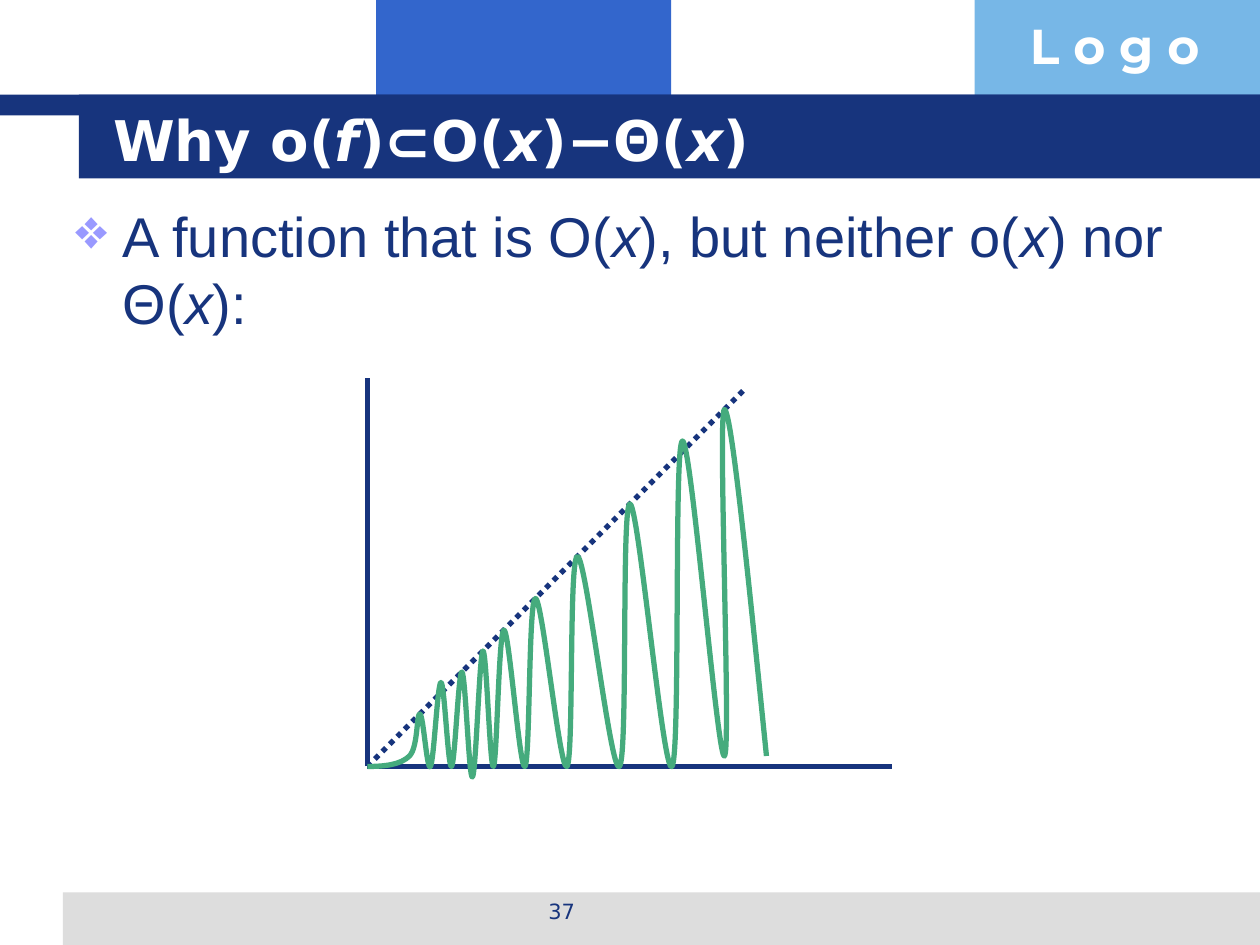
from lxml import etree
from pptx import Presentation
from pptx.dml.color import RGBColor
from pptx.enum.dml import MSO_LINE_DASH_STYLE as Dash
from pptx.enum.shapes import MSO_CONNECTOR as Connector, MSO_SHAPE as Shape
from pptx.enum.text import MSO_ANCHOR as Anchor, PP_ALIGN as Align
from pptx.oxml.ns import qn
from pptx.util import Pt

COLORS = {"navy": "17347D", "blue": "3366CC", "sky": "77B7E7", "gray": "DDDDDD",
          "white": "FFFFFF", "lilac": "9999FF", "green": "45AB7D"}
STYLES = {
    "logo": {"name": "Montserrat", "size": Pt(28), "bold": True, "color": "white"},
    "title": {"name": "DejaVu Sans", "size": Pt(32), "bold": True, "color": "white"},
    "body": {"name": "Arial", "size": Pt(32), "color": "navy"},
    "number": {"name": "DejaVu Sans", "size": Pt(12), "color": "navy"},
}
UNIT = 6  # plot grid step, in points
# Turning points of the curve, in grid steps right of and above the origin
WAVE = [(0, 0), (4, 1), (5, 5), (6, 0), (7, 8), (8, 0), (9, 9), (10, -1),
        (11, 11), (12, 0), (13, 13), (15, 0), (16, 16), (19, 0), (20, 20),
        (24, 0), (25, 25), (29, 0), (30, 31), (34, 1), (34, 34), (38, 1)]
START_HANDLE, END_HANDLE = (1.6, 0), (1.67, -16.5)


def rgb(name):
    return RGBColor.from_string(COLORS[name])


def add_bar(page, box, color):
    bar = page.shapes.add_shape(Shape.RECTANGLE, *map(Pt, box))
    bar.shadow.inherit = False
    bar.fill.solid()
    bar.fill.fore_color.rgb = rgb(color)
    bar.line.fill.background()


def add_text(page, box, text, style, anchor=Anchor.TOP, align=Align.LEFT):
    """Place one paragraph; pieces between asterisks are italic."""
    frame = page.shapes.add_textbox(*map(Pt, box)).text_frame
    frame.word_wrap = True
    frame.vertical_anchor = anchor
    para = frame.paragraphs[0]
    para.alignment = align
    for index, piece in enumerate(text.split("*")):
        span = para.add_run()
        span.text = piece
        for key, value in STYLES[style].items():
            if key == "color":
                span.font.color.rgb = rgb(value)
            else:
                setattr(span.font, key, value)
        span.font.italic = index % 2 == 1
    return para


def add_bullet(para, char, color, indent):
    props = para._p.get_or_add_pPr()
    props.set("marL", str(Pt(indent)))
    props.set("indent", str(-Pt(indent)))
    bullet_color = etree.SubElement(props, qn("a:buClr"))
    etree.SubElement(bullet_color, qn("a:srgbClr"), val=COLORS[color])
    etree.SubElement(props, qn("a:buChar"), char=char)


def add_header(page, left, top, width):
    # Color blocks and logo
    add_bar(page, (left + 215, top, 168.5, 66), "blue")
    add_bar(page, (left + 557, top, width - 557, 66), "sky")
    add_text(page, (left + 581.5, top + 5.5, 138.5, 41), "L o g o", "logo")
    # Title band
    add_bar(page, (left, top + 54, width, 12), "navy")
    add_bar(page, (left + 45, top + 54, width - 45, 48), "navy")
    add_text(page, (left + 57.5, top + 57.5, 614, 44.5),
             "Why o(*f*)⊂O(*x*)−Θ(*x*)", "title", Anchor.MIDDLE)


def add_body(page, left, top, width, height):
    para = add_text(page, (left, top, width, height),
                    "A function that is O(*x*), but neither o(*x*) nor Θ(*x*):", "body")
    add_bullet(para, "❖", "lilac", 27)


def add_footer(page, left, top, width, height):
    add_bar(page, (left, top, width, height), "gray")
    add_text(page, (left + 201, top, 168, 25), "37", "number", align=Align.CENTER)


def bezier_points(knots):
    """Control points of a Catmull-Rom curve through the knots."""
    handles = [START_HANDLE]
    for (x0, y0), (x1, y1) in zip(knots, knots[2:]):
        handles.append(((x1 - x0) / 6, (y1 - y0) / 6))
    handles.append(END_HANDLE)
    points = []
    for i in range(len(knots) - 1):
        (x0, y0), (x1, y1) = knots[i:i + 2]
        (dx0, dy0), (dx1, dy1) = handles[i:i + 2]
        points += [(x0 + dx0, y0 + dy0), (x1 - dx1, y1 - dy1), (x1, y1)]
    return points


def add_plot(page, left, bottom):
    def place(x, y):
        return Pt(left + x * UNIT), Pt(bottom - y * UNIT)

    # Axes and dotted bound
    for end, dash in (((50, 0), None), ((0, 37), None), ((36, 36), Dash.ROUND_DOT)):
        line = page.shapes.add_connector(Connector.STRAIGHT, *place(0, 0), *place(*end))
        etree.SubElement(line._element.spPr, qn("a:effectLst"))
        line.line.color.rgb = rgb("navy")
        line.line.width = Pt(3)
        if dash:
            line.line.dash_style = dash

    # Oscillating function: each three points become one cubic segment
    builder = page.shapes.build_freeform(*place(*WAVE[0]))
    builder.add_line_segments([place(*point) for point in bezier_points(WAVE)], close=False)
    curve = builder.convert_to_shape()
    steps = list(curve._element.iter(qn("a:lnTo")))
    for i in range(0, len(steps), 3):
        cubic = etree.Element(qn("a:cubicBezTo"))
        steps[i].addprevious(cubic)
        for step in steps[i:i + 3]:
            cubic.append(step[0])
            step.getparent().remove(step)
    curve.shadow.inherit = False
    curve.fill.background()
    curve.line.color.rgb = rgb("green")
    curve.line.width = Pt(3)


def main():
    deck = Presentation()
    deck.slide_width, deck.slide_height = Pt(720), Pt(540)
    page = deck.slides.add_slide(deck.slide_layouts[6])
    add_header(page, 0, 0, 720)
    add_footer(page, 36, 510, 684, 30)
    add_body(page, 36, 111.5, 648, 384.5)
    add_plot(page, 210, 438)
    deck.save("out.pptx")


if __name__ == "__main__":
    main()
